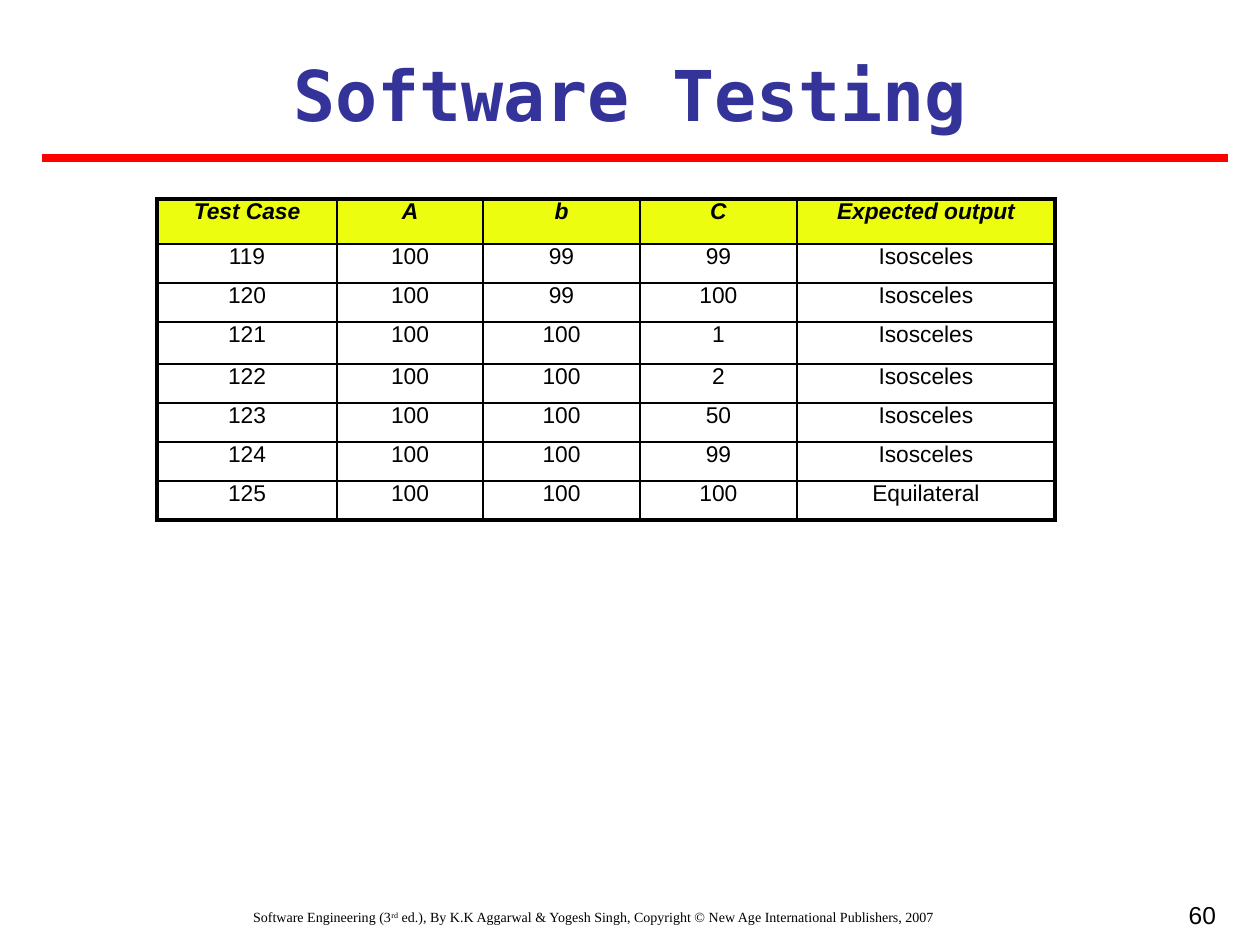
from lxml import etree
from pptx import Presentation
from pptx import util as u
from pptx.dml.color import RGBColor
from pptx.enum import shapes, text
from pptx.oxml import ns

PX = u.Inches(10) / 1260
BLACK, RED, NAVY, YELLOW = "000000", "FF0000", "333399", "ECFD0F"
CENTER, RIGHT = text.PP_ALIGN.CENTER, text.PP_ALIGN.RIGHT

COLUMNS = [180, 146, 157, 157, 258]
ROWS = [45, 39, 39, 42, 39, 39, 39, 39]
CASES = [
    ["Test Case", "A", "b", "C", "Expected output"],
    ["119", "100", "99", "99", "Isosceles"],
    ["120", "100", "99", "100", "Isosceles"],
    ["121", "100", "100", "1", "Isosceles"],
    ["122", "100", "100", "2", "Isosceles"],
    ["123", "100", "100", "50", "Isosceles"],
    ["124", "100", "100", "99", "Isosceles"],
    ["125", "100", "100", "100", "Equilateral"],
]


def px(length):
    """Turn pixels into EMU."""
    return u.Emu(round(length * PX))


def color(value):
    """Turn a hex string into a colour."""
    return RGBColor.from_string(value)


def style(font, name, size, fill, bold=False, italic=False):
    """Set the look of a font."""
    font.name, font.size = name, u.Pt(size)
    font.bold, font.italic = bold, italic
    font.color.rgb = color(fill)


def set_frame(frame, top_inset):
    """Make a text frame wrap, with its text at the top."""
    frame.word_wrap = True
    frame.auto_size = text.MSO_AUTO_SIZE.NONE
    frame.vertical_anchor = text.MSO_ANCHOR.TOP
    frame.margin_left = frame.margin_right = px(13)
    frame.margin_top, frame.margin_bottom = px(top_inset), 0


def add_box(page, left, top, width, height, top_inset, align):
    """Add a text box and return its paragraph."""
    box = page.shapes.add_textbox(px(left), px(top), px(width), px(height))
    set_frame(box.text_frame, top_inset)
    para = box.text_frame.paragraphs[0]
    para.alignment = align
    return para


def add_heading(page, left, top, width):
    """Place the title and the red rule under it."""
    title = page.shapes.title
    title.left, title.top = px(left), px(top)
    title.width, title.height = px(width), px(97)
    title.text_frame.text = "Software Testing"
    set_frame(title.text_frame, 12)
    para = title.text_frame.paragraphs[0]
    para.alignment = CENTER
    style(para.runs[0].font, "DejaVu Sans Mono", 40, NAVY, bold=True)
    rule_y = px(top + 118)
    rule = page.shapes.add_connector(
        shapes.MSO_CONNECTOR.STRAIGHT, px(left), rule_y, px(left + width + 10), rule_y)
    rule.line.color.rgb, rule.line.width = color(RED), u.Pt(4.5)
    etree.SubElement(rule._element.spPr, ns.qn("a:effectLst"))


def set_borders(cell, widths):
    """Draw the left, right, top and bottom borders of a cell."""
    properties = cell._tc.get_or_add_tcPr()
    for position, (side, width) in enumerate(zip("LRTB", widths)):
        line = etree.Element(ns.qn(f"a:ln{side}"), w=str(u.Pt(width)))
        fill = etree.SubElement(line, ns.qn("a:solidFill"))
        etree.SubElement(fill, ns.qn("a:srgbClr"), val=BLACK)
        properties.insert(position, line)


def add_cases(page, left, top):
    """Place the table of test cases."""
    table = page.shapes.add_table(
        len(ROWS), len(COLUMNS), px(left), px(top), px(sum(COLUMNS)), px(sum(ROWS))).table
    table.horz_banding = table.first_row = False
    for column, width in zip(table.columns, COLUMNS):
        column.width = px(width)
    for r, (row, height) in enumerate(zip(table.rows, ROWS)):
        row.height = px(height)
        for c, cell in enumerate(row.cells):
            header = r == 0
            cell.text = CASES[r][c]
            cell.margin_left = cell.margin_right = px(13)
            cell.margin_top = cell.margin_bottom = 0
            para = cell.text_frame.paragraphs[0]
            para.alignment = CENTER
            style(para.runs[0].font, "Arial", 13, BLACK, bold=header, italic=header)
            if header:
                cell.fill.solid()
                cell.fill.fore_color.rgb = color(YELLOW)
            else:
                cell.fill.background()
            outer = [c == 0, c == len(COLUMNS) - 1, header, r == len(ROWS) - 1]
            set_borders(cell, [2.25 if edge else 1 for edge in outer])


def add_footer(page, left, top):
    """Place the copyright line and the page number."""
    para = add_box(page, left, top, 1124, 42, 6, CENTER)
    parts = ["Software Engineering (3", "rd",
             " ed.), By K.K Aggarwal & Yogesh Singh, "
             "Copyright © New Age International Publishers, 2007"]
    for part in parts:
        span = para.add_run()
        span.text = part
        style(span.font, "Times New Roman", 8, BLACK)
    para.runs[1]._r.get_or_add_rPr().set("baseline", "30000")
    number = add_box(page, left + 903, top - 11, 294, 74, 8, RIGHT)
    number.text = "60"
    style(number.runs[0].font, "Arial", 14, BLACK)


def main():
    """Build the slide and save it."""
    deck = Presentation()
    deck.slide_width, deck.slide_height = px(1260), px(945)
    page = deck.slides.add_slide(deck.slide_layouts[5])
    add_heading(page, 42, 40, 1176)
    add_cases(page, 157, 199)
    add_footer(page, 32, 903)
    deck.save("out.pptx")


if __name__ == "__main__":
    main()
